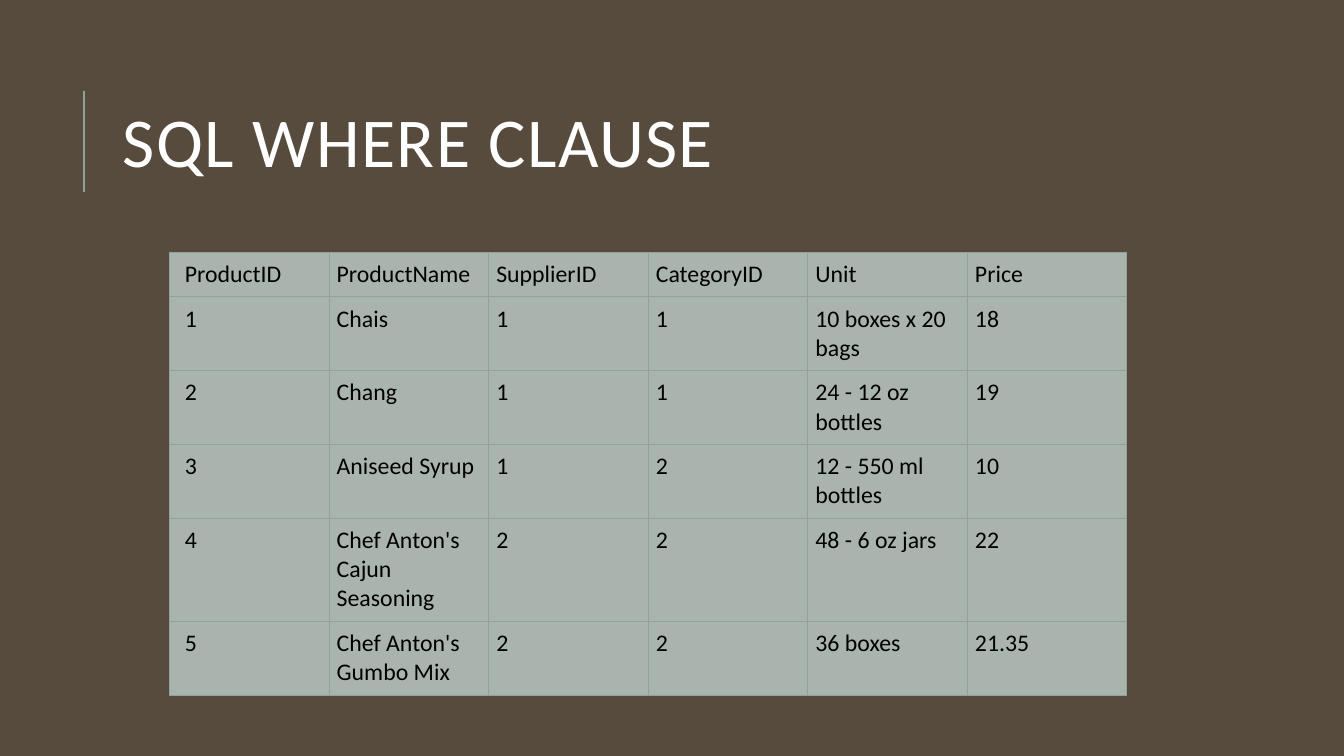
from dataclasses import dataclass

from lxml.etree import SubElement
from pptx import Presentation
from pptx.dml.color import RGBColor
from pptx.enum.shapes import MSO_CONNECTOR
from pptx.enum.text import MSO_ANCHOR
from pptx.oxml.ns import qn
from pptx.slide import Slide
from pptx.util import Pt


def color(hex_code):
    return RGBColor.from_string(hex_code)


@dataclass
class SlideWriter:
    """Draws elements on one slide in a shared style."""

    page: Slide
    font: str = "Calibri"
    background: str = "564B3C"
    accent: str = "93A299"
    cell_fill: str = "AAB4AE"
    title_color: str = "FFFFFF"
    body_color: str = "000000"

    def paint_background(self):
        fill = self.page.background.fill
        fill.solid()
        fill.fore_color.rgb = color(self.background)

    def style(self, para, size, hex_code):
        para.font.name = self.font
        para.font.size = Pt(size)
        para.font.color.rgb = color(hex_code)

    def rule(self, left, top, bottom):
        line = self.page.shapes.add_connector(
            MSO_CONNECTOR.STRAIGHT, Pt(left), Pt(bottom), Pt(left), Pt(top))
        line.line.color.rgb = color(self.accent)
        line.line.width = Pt(1.5)
        SubElement(line._element.spPr, qn("a:effectLst"))

    def title(self, text, left, top, width, height):
        box = self.page.shapes.add_textbox(Pt(left), Pt(top), Pt(width), Pt(height))
        frame = box.text_frame
        frame.word_wrap = True
        frame.vertical_anchor = MSO_ANCHOR.MIDDLE
        para = frame.paragraphs[0]
        para.line_spacing = 0.8
        span = para.add_run()
        span.text = text
        span._r.get_or_add_rPr().set("spc", "100")
        self.style(para, 50, self.title_color)

    def border(self, cell):
        properties = cell._tc.get_or_add_tcPr()
        for index, side in enumerate(("lnL", "lnR", "lnT", "lnB")):
            line = properties.makeelement(qn(f"a:{side}"), {"w": str(Pt(0.75))})
            fill = SubElement(line, qn("a:solidFill"))
            SubElement(fill, qn("a:srgbClr"), val=self.accent)
            properties.insert(index, line)

    def cell(self, cell, text, left_margin):
        cell.text = text
        cell.margin_left = Pt(left_margin)
        cell.margin_right = cell.margin_top = cell.margin_bottom = Pt(5.5)
        cell.fill.solid()
        cell.fill.fore_color.rgb = color(self.cell_fill)
        self.style(cell.text_frame.paragraphs[0], 17, self.body_color)
        self.border(cell)

    def table(self, rows, line_counts, left, top, width):
        heights = [11 + 20.9 * count for count in line_counts]
        table = self.page.shapes.add_table(
            len(rows), len(rows[0]), Pt(left), Pt(top), Pt(width), Pt(sum(heights))).table
        for column in table.columns:
            column.width = Pt(width / len(rows[0]))
        for row_index, (values, height) in enumerate(zip(rows, heights)):
            table.rows[row_index].height = Pt(height)
            for column_index, value in enumerate(values):
                margin = 5.5 if column_index else 11
                self.cell(table.cell(row_index, column_index), value, margin)


PRODUCTS = [
    ("ProductID", "ProductName", "SupplierID", "CategoryID", "Unit", "Price"),
    ("1", "Chais", "1", "1", "10 boxes x 20 bags", "18"),
    ("2", "Chang", "1", "1", "24 - 12 oz bottles", "19"),
    ("3", "Aniseed Syrup", "1", "2", "12 - 550 ml bottles", "10"),
    ("4", "Chef Anton's Cajun Seasoning", "2", "2", "48 - 6 oz jars", "22"),
    ("5", "Chef Anton's Gumbo Mix", "2", "2", "36 boxes", "21.35"),
]


def main():
    deck = Presentation()
    deck.slide_width, deck.slide_height = Pt(960), Pt(540)
    writer = SlideWriter(deck.slides.add_slide(deck.slide_layouts[6]))
    writer.paint_background()
    writer.rule(60, 65, 137)
    writer.title("SQL WHERE CLAUSE", 80.6, 46, 765, 118)
    writer.table(PRODUCTS, (1, 2, 2, 2, 3, 2), 121, 180, 684)
    deck.save("out.pptx")


if __name__ == "__main__":
    main()
